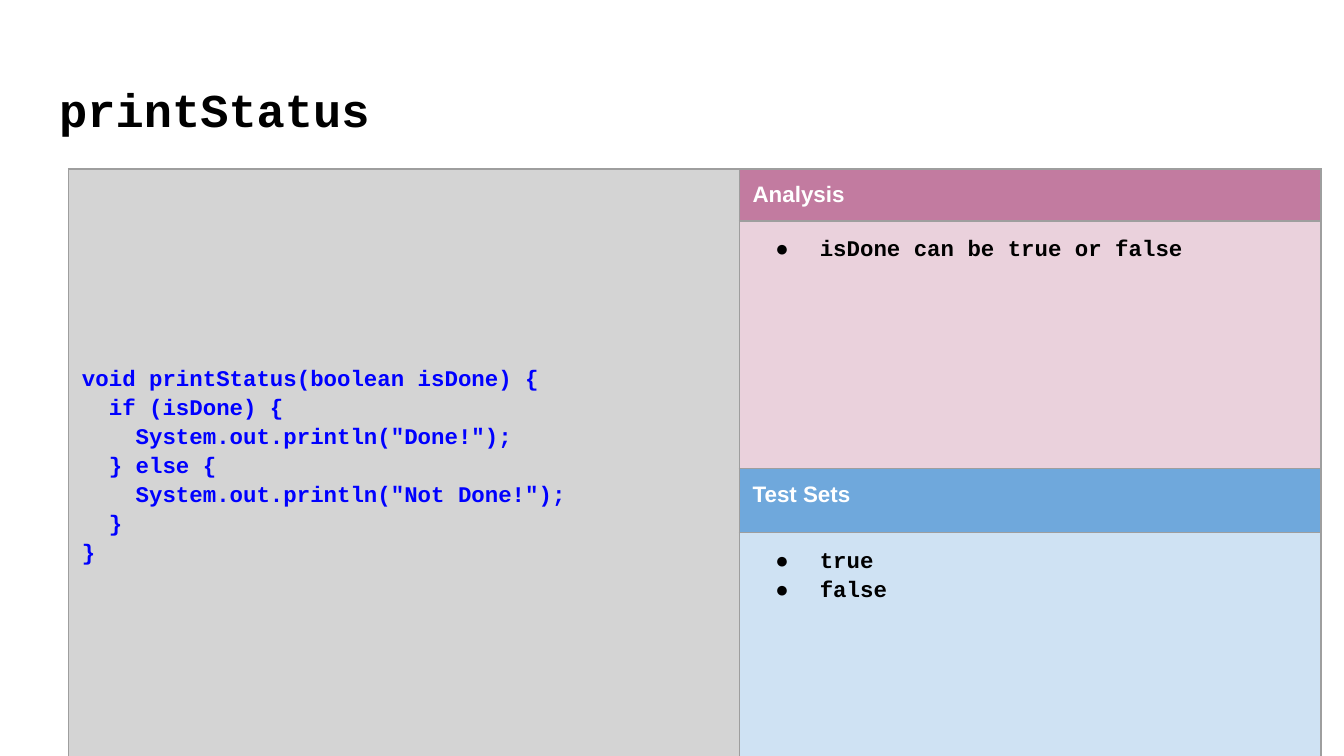
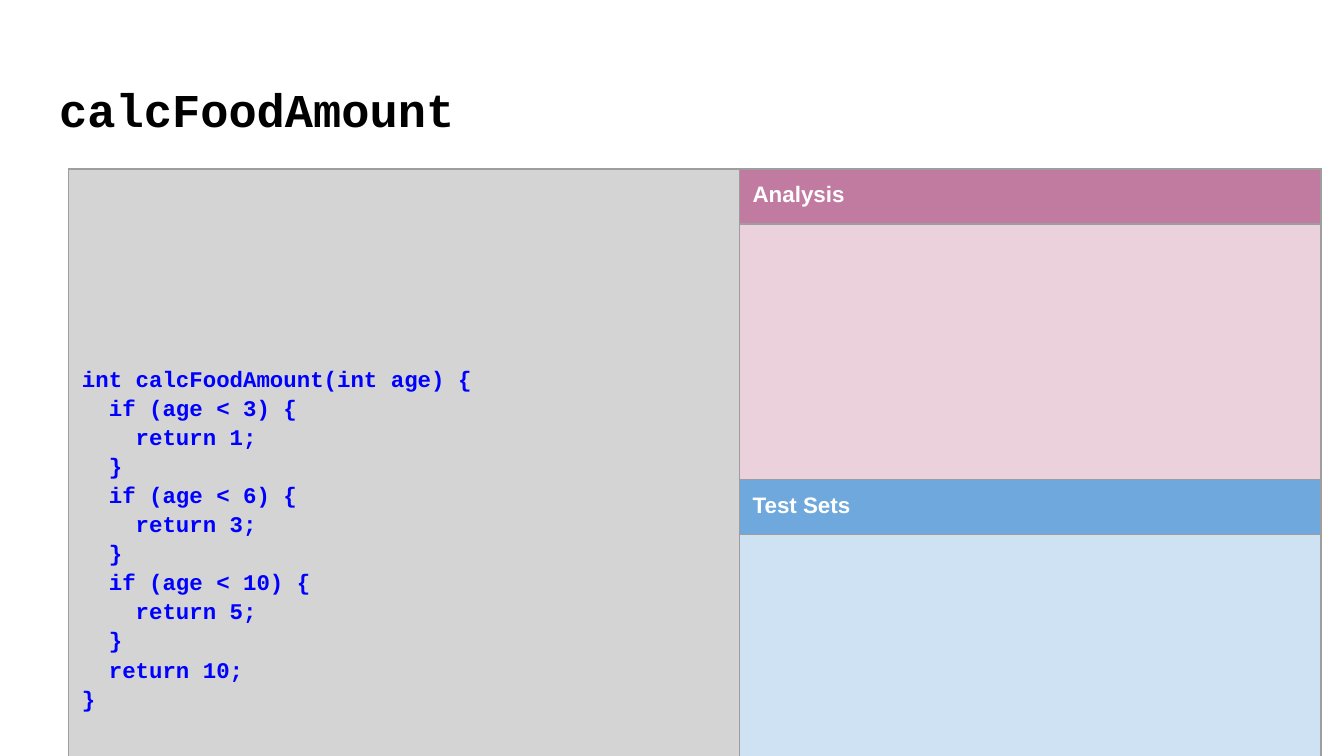
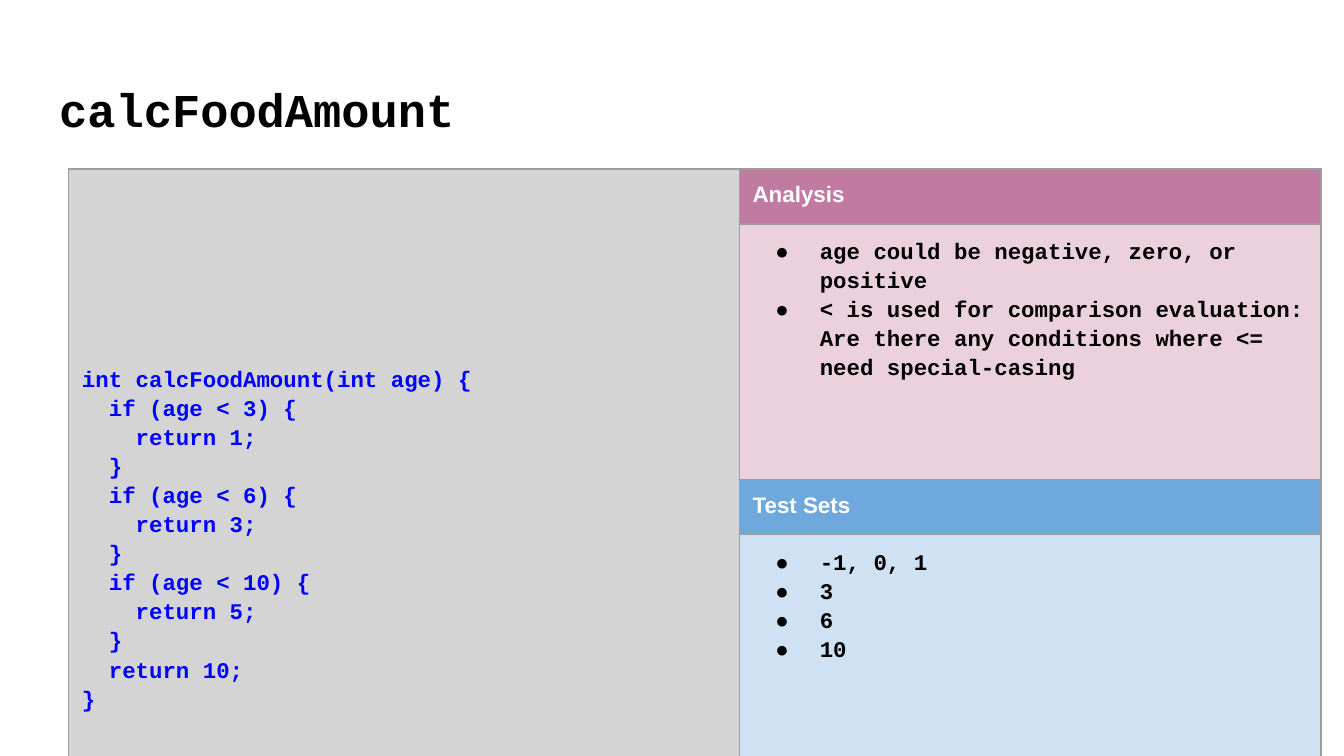
from dataclasses import dataclass

from lxml.etree import SubElement as Sub
from pptx import Presentation
from pptx.dml.color import RGBColor as Rgb
from pptx.enum.text import MSO_ANCHOR as Anchor
from pptx.enum.text import PP_ALIGN as Align
from pptx.oxml.ns import qn
from pptx.util import Inches, Pt

WIDE = Inches(10)
HIGH = WIDE * 9 // 16


@dataclass(frozen=True)
class Theme:
    mono: str = "Courier New"
    sans: str = "Arial"
    head: float = 25.2
    body: float = 12
    lead: float = 1.15
    rule: float = 0.75
    black: str = "000000"
    white: str = "FFFFFF"
    blue: str = "0000FF"
    line: str = "9E9E9E"
    code: str = "D4D4D4"
    fills: tuple[str, ...] = ("C27BA0", "EAD1DC", "6FA8DC", "CFE2F3")


@dataclass(frozen=True)
class Topic:
    name: str
    code: str
    rows: tuple[float, ...]
    notes: tuple[str, ...] = ()
    tests: tuple[str, ...] = ()


THEME = Theme()
PAD = Inches(0.1)
COLS = (49.9, 43.3)
ROWS = (7.29, 33.78, 7.29, 25.42)

PRINT = """void printStatus(boolean isDone) {
  if (isDone) {
    System.out.println("Done!");
  } else {
    System.out.println("Not Done!");
  }
}"""

FOOD = """int calcFoodAmount(int age) {
  if (age < 3) {
    return 1;
  }
  if (age < 6) {
    return 3;
  }
  if (age < 10) {
    return 5;
  }
  return 10;
}"""

TOPICS = (
    Topic("printStatus", PRINT, (3.38, 32.71, 8.53, 24.71),
          ("isDone can be true or false",), ("true", "false")),
    Topic("calcFoodAmount", FOOD, ROWS),
    Topic("calcFoodAmount", FOOD, ROWS,
          ("age could be negative, zero, or positive",
           "< is used for comparison evaluation: "
           "Are there any conditions where <= need special-casing"),
          ("-1, 0, 1", "3", "6", "10")),
)


def across(share: float) -> int:
    return round(WIDE * share / 100)


def down(share: float) -> int:
    return round(HIGH * share / 100)


def bullet(para) -> None:
    props = para._p.get_or_add_pPr()
    props.set("marL", str(Inches(0.5)))
    props.set("indent", str(-Inches(0.33)))
    tint = Sub(props, qn("a:buClr"))
    Sub(tint, qn("a:srgbClr"), val=THEME.black)
    Sub(props, qn("a:buFont"), typeface=THEME.mono)
    Sub(props, qn("a:buChar"), char="●")


def write(frame, *items: str, font: str = THEME.mono, size: float = THEME.body,
          tint: str = THEME.black, lead: float | None = None,
          after: float | None = None, dots: bool = False) -> None:
    for spot, item in enumerate(items):
        para = frame.add_paragraph() if spot else frame.paragraphs[0]
        para.text = item.replace("\n", "\v")
        para.alignment = Align.LEFT
        if lead:
            para.line_spacing = lead
        if after:
            para.space_after = Pt(after)
        if dots:
            bullet(para)
        for run in para.runs:
            run.font.name = font
            run.font.size = Pt(size)
            run.font.bold = True
            run.font.color.rgb = Rgb.from_string(tint)


def pad(box) -> None:
    box.margin_left = box.margin_right = PAD
    box.margin_top = box.margin_bottom = PAD


def dress(cell, fill: str) -> None:
    pad(cell)
    cell.fill.solid()
    cell.fill.fore_color.rgb = Rgb.from_string(fill)
    props = cell._tc.get_or_add_tcPr()
    for spot, side in enumerate(("lnL", "lnR", "lnT", "lnB")):
        edge = Sub(props, qn(f"a:{side}"), w=str(Pt(THEME.rule)))
        paint = Sub(edge, qn("a:solidFill"))
        Sub(paint, qn("a:srgbClr"), val=THEME.line)
        props.insert(spot, edge)


def title(slide, name: str) -> None:
    box = slide.shapes.title
    box.left, box.top = across(3.4), down(8.71)
    box.width, box.height = across(93.2), down(11.2)
    frame = box.text_frame
    pad(frame)
    frame.word_wrap = True
    frame.vertical_anchor = Anchor.BOTTOM
    write(frame, name, size=THEME.head)


def grid(slide, topic: Topic) -> None:
    table = slide.shapes.add_table(
        len(topic.rows), len(COLS), across(5.1), down(22.35),
        across(sum(COLS)), down(sum(topic.rows))).table
    table.first_row = table.horz_banding = False
    for col, share in zip(table.columns, COLS):
        col.width = across(share)
    for row, share, fill in zip(table.rows, topic.rows, THEME.fills):
        row.height = down(share)
        dress(row.cells[0], THEME.code)
        dress(row.cells[1], fill)

    code = table.cell(0, 0)
    code.merge(table.cell(len(topic.rows) - 1, 0))
    code.vertical_anchor = Anchor.MIDDLE
    write(code.text_frame, topic.code, tint=THEME.blue,
          lead=THEME.lead, after=12)

    parts = (("Analysis", topic.notes), ("Test Sets", topic.tests))
    for spot, (label, items) in enumerate(parts):
        write(table.cell(2 * spot, 1).text_frame, label,
              font=THEME.sans, tint=THEME.white)
        write(table.cell(2 * spot + 1, 1).text_frame, *items,
              lead=THEME.lead, dots=True)


def main() -> None:
    deck = Presentation()
    deck.slide_width, deck.slide_height = WIDE, HIGH
    for topic in TOPICS:
        slide = deck.slides.add_slide(deck.slide_layouts[5])
        title(slide, topic.name)
        grid(slide, topic)
    deck.save("out.pptx")


if __name__ == "__main__":
    main()
